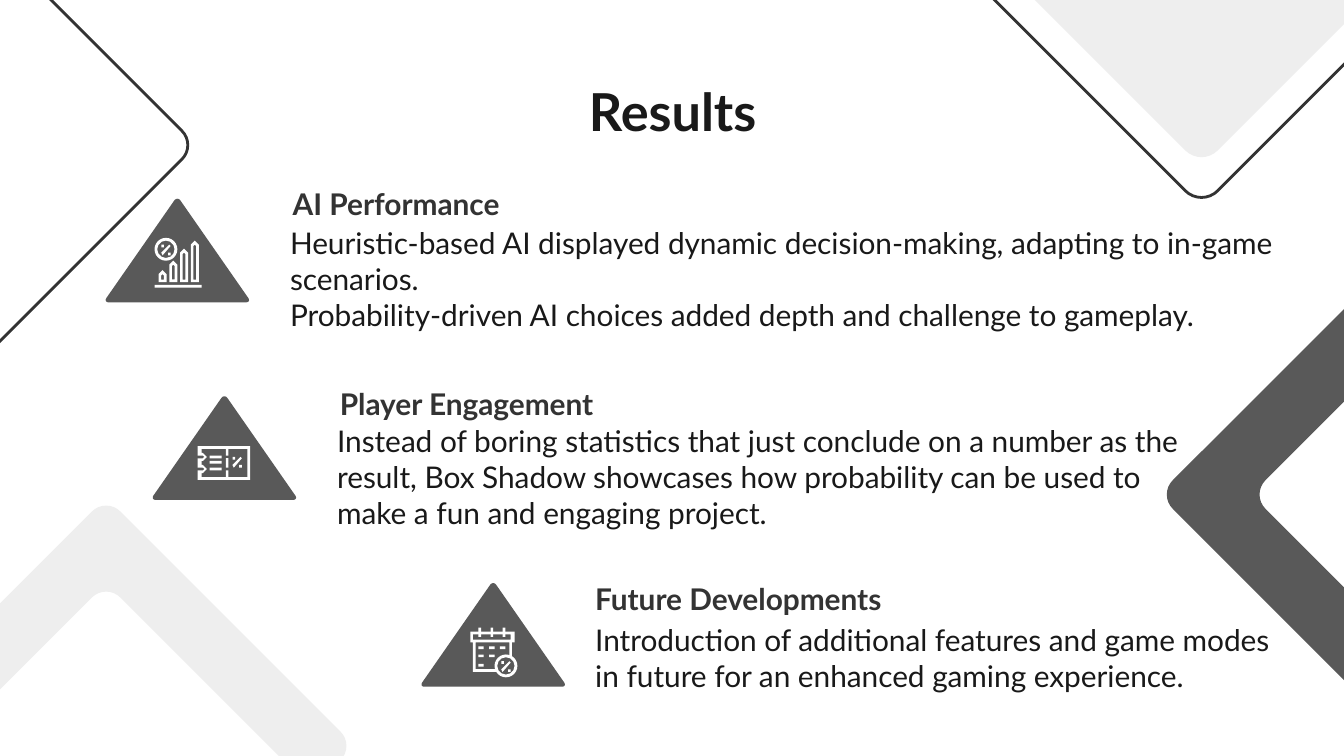
from math import dist

from pptx import Presentation
from pptx.dml.color import RGBColor
from pptx.enum.shapes import MSO_SHAPE
from pptx.enum.text import MSO_ANCHOR, MSO_AUTO_SIZE, PP_ALIGN
from pptx.util import Inches, Pt

COLORS = {"ink": "191919", "outline": "333333", "dark": "595959",
          "pale": "EEEEEE", "white": "FFFFFF"}
FONT = "Lato"
CURVE_STEPS = 8
STROKE = 0.02  # width of the icon lines

SECTIONS = [
    {"heading": "AI Performance", "heading_box": (2.08, 1.30, 2.37, 0.43),
     "lines": ["Heuristic-based AI displayed dynamic decision-making, adapting to "
               "in-game scenarios.",
               "Probability-driven AI choices added depth and challenge to gameplay."],
     "body_box": (2.06, 1.78, 7.66, 0.59), "triangle": (0.78, 1.48)},
    {"heading": "Player Engagement", "heading_box": (2.43, 2.79, 2.94, 0.43),
     "lines": ["Instead of boring statistics that just conclude on a number as the "
               "result, Box Shadow showcases how probability can be used to make a "
               "fun and engaging project."],
     "body_box": (2.41, 3.25, 6.69, 0.59), "triangle": (1.13, 2.95)},
    {"heading": "Future Developments", "heading_box": (4.33, 4.24, 3.06, 0.43),
     "lines": ["Introduction of additional features and game modes in future for an "
               "enhanced gaming experience."],
     "body_box": (4.33, 4.60, 5.32, 0.59), "triangle": (3.13, 4.34)},
]


def rgb(name):
    return RGBColor.from_string(COLORS[name])


def paint(shape, fill=None, line=None):
    shape.shadow.inherit = False
    if fill:
        shape.fill.solid()
        shape.fill.fore_color.rgb = rgb(fill)
    else:
        shape.fill.background()
    if line:
        shape.line.color.rgb = rgb(line)
        shape.line.width = Pt(1.5)
    else:
        shape.line.fill.background()


def rounded(corners, cut):
    """Replace each (x, y) corner by an arc that starts cut inches before it."""
    points = []
    for i, corner in enumerate(corners):
        before, after = corners[i - 1], corners[(i + 1) % len(corners)]

        def toward(other, length):
            share = length / dist(corner, other)
            return tuple(c + (o - c) * share for c, o in zip(corner, other))

        controls = (toward(before, cut), toward(before, cut * 0.45),
                    toward(after, cut * 0.45), toward(after, cut))
        for step in range(CURVE_STEPS + 1):
            t = step / CURVE_STEPS
            weights = ((1 - t) ** 3, 3 * t * (1 - t) ** 2, 3 * t * t * (1 - t), t ** 3)
            points.append(tuple(sum(w * c[axis] for w, c in zip(weights, controls))
                                for axis in (0, 1)))
    return points


def add_outline(shapes, contours, fill=None, line=None):
    """Draw one freeform; a contour inside another is a hole."""
    scaled = [[(Inches(x), Inches(y)) for x, y in contour] for contour in contours]
    builder = shapes.build_freeform(*scaled[0][0])
    builder.add_line_segments(scaled[0][1:])
    for contour in scaled[1:]:
        builder.move_to(*contour[0])
        builder.add_line_segments(contour[1:])
    paint(builder.convert_to_shape(), fill, line)


def add_wedge(shapes, tip, reach, to_side, cut, **colors):
    """Half diamond, pointing right when to_side, otherwise down."""
    x, y = tip
    if to_side:
        corners = [tip, (x - reach, y + reach), (x - reach, y - reach)]
    else:
        corners = [tip, (x + reach, y - reach), (x - reach, y - reach)]
    add_outline(shapes, [rounded(corners, cut)], **colors)


def add_chevron(shapes, tip, arm, depth, to_side, fill):
    """Bent bar, pointing left when to_side, otherwise up."""
    half = depth / 2
    upper = [(0, 0), (arm, arm), (arm + half, arm - half), (depth, 0)]
    corners = upper + [(along, -across) for along, across in upper[2:0:-1]]
    if not to_side:
        corners = [(across, along) for along, across in corners]
    corners = [(tip[0] + x, tip[1] + y) for x, y in corners]
    add_outline(shapes, [rounded(corners, 0.15)], fill=fill)


def add_triangle(shapes, left, top):
    corners = [(left + 0.54, top - 0.02), (left + 1.09, top + 0.77),
               (left - 0.01, top + 0.77)]
    add_outline(shapes, [rounded(corners, 0.04)], fill="dark")


def add_block(shapes, left, top, width=STROKE, height=STROKE):
    block = shapes.add_shape(MSO_SHAPE.RECTANGLE, *map(Inches, (left, top, width, height)))
    paint(block, "white")


def add_percent(shapes, left, top):
    add_block(shapes, left, top)
    add_block(shapes, left + 0.05, top + 0.06)
    slash = [(0.06, 0), (0, 0.06), (0.01, 0.08), (0.07, 0.01)]
    add_outline(shapes, [[(left + x, top + y) for x, y in slash]], fill="white")


def add_percent_badge(shapes, left, top):
    ring = shapes.add_shape(MSO_SHAPE.DONUT, *map(Inches, (left, top, 0.17, 0.17)))
    ring.adjustments[0] = 0.12
    paint(ring, "white")
    add_percent(shapes, left + 0.05, top + 0.05)


def box(left, top, right, bottom):
    return [(left, top), (right, top), (right, bottom), (left, bottom)]


def add_growth_icon(shapes):
    add_block(shapes, 1.15, 2.12, 0.35)
    for i, top in enumerate((2.01, 1.94, 1.85, 1.79)):
        left = 1.18 + 0.08 * i
        bar = [(0.03, 0), (0, 0.03), (0, 2.1 - top), (0.06, 2.1 - top), (0.06, 0.03)]
        hollow = [(0.03, 0.03), (0.02, 0.04), (0.02, 2.08 - top),
                  (0.04, 2.08 - top), (0.04, 0.04)]
        add_outline(shapes, [[(left + x, top + y) for x, y in contour]
                             for contour in (bar, hollow)], fill="white")
    add_percent_badge(shapes, 1.15, 1.77)


def add_ticket_icon(shapes):
    edge = [(1.86, 3.32), (1.86, 3.57), (1.47, 3.57)]
    hollow = [(1.84, 3.34), (1.84, 3.55), (1.5, 3.55)]
    for notch in (3.49, 3.4):
        edge += [(1.47, notch + 0.01), (1.51, notch + 0.01), (1.52, notch),
                 (1.51, notch - 0.01), (1.47, notch - 0.01)]
        hollow += [(1.5, notch + 0.03), (1.51, notch + 0.03), (1.54, notch),
                   (1.51, notch - 0.03), (1.5, notch - 0.03)]
    add_outline(shapes, [edge + [(1.47, 3.32)], hollow + [(1.5, 3.34)]], fill="white")
    for top, height in ((3.34, 0.05), (3.41, 0.07), (3.5, 0.05)):
        add_block(shapes, 1.68, top, height=height)
    for top in (3.39, 3.43, 3.48):
        add_block(shapes, 1.56, top, 0.09)
    add_percent(shapes, 1.73, 3.4)


def add_calendar_icon(shapes):
    left_wall = [(3.52, 4.78), (3.54, 4.78), (3.54, 4.98), (3.69, 4.98),
                 (3.69, 5), (3.52, 5)]
    add_outline(shapes, [box(3.5, 4.7, 3.83, 4.78), box(3.52, 4.72, 3.8, 4.76),
                         left_wall, box(3.79, 4.78, 3.81, 4.88)], fill="white")
    for i in range(3):
        add_block(shapes, 3.56 + 0.09 * i, 4.67, height=0.07)
    for top, days in ((4.81, 3), (4.87, 2), (4.94, 1)):
        for day in range(days):
            add_block(shapes, 3.56 + 0.08 * day, top, 0.04)
    add_percent_badge(shapes, 3.68, 4.87)


def write(holder, lines, size, color, bold=False, align=PP_ALIGN.LEFT,
          anchor=MSO_ANCHOR.MIDDLE):
    frame = holder.text_frame
    frame.text = "\n".join(lines)
    settings = {"word_wrap": True, "auto_size": MSO_AUTO_SIZE.NONE,
                "vertical_anchor": anchor}
    settings.update({f"margin_{side}": Inches(0.1)
                     for side in ("left", "top", "right", "bottom")})
    for name, value in settings.items():
        setattr(frame, name, value)
    for paragraph in frame.paragraphs:
        paragraph.alignment = align
        for name, value in {"name": FONT, "size": Pt(size), "bold": bold}.items():
            setattr(paragraph.font, name, value)
        paragraph.font.color.rgb = rgb(color)


def add_text(shapes, place, lines, color, bold=False):
    write(shapes.add_textbox(*map(Inches, place)), lines, 16, color, bold)


def main():
    deck = Presentation()
    deck.slide_width = Inches(10)
    deck.slide_height = deck.slide_width * 9 // 16
    slide = deck.slides.add_slide(deck.slide_layouts[5])
    shapes = slide.shapes

    add_wedge(shapes, (1.46, 1.08), 1.96, True, 0.15, line="outline")
    add_chevron(shapes, (0.79, 3.7), 1.85, 0.64, False, "pale")
    add_wedge(shapes, (8.94, 1.54), 2.19, False, 0.17, line="outline")
    add_wedge(shapes, (8.94, 1.24), 2.19, False, 0.17, fill="pale")
    add_chevron(shapes, (8.62, 3.68), 2, 0.69, True, "dark")

    title = shapes.title
    title.left, title.top, title.width, title.height = map(Inches, (0.79, 0.49, 8.43, 0.63))
    write(title, ["Results"], 28, "ink", True, PP_ALIGN.CENTER, MSO_ANCHOR.TOP)

    icons = (add_growth_icon, add_ticket_icon, add_calendar_icon)
    for section, add_icon in zip(SECTIONS, icons):
        add_text(shapes, section["heading_box"], [section["heading"]], "outline", True)
        add_text(shapes, section["body_box"], section["lines"], "ink")
        add_triangle(shapes, *section["triangle"])
        add_icon(shapes.add_group_shape().shapes)

    deck.save("out.pptx")


if __name__ == "__main__":
    main()
